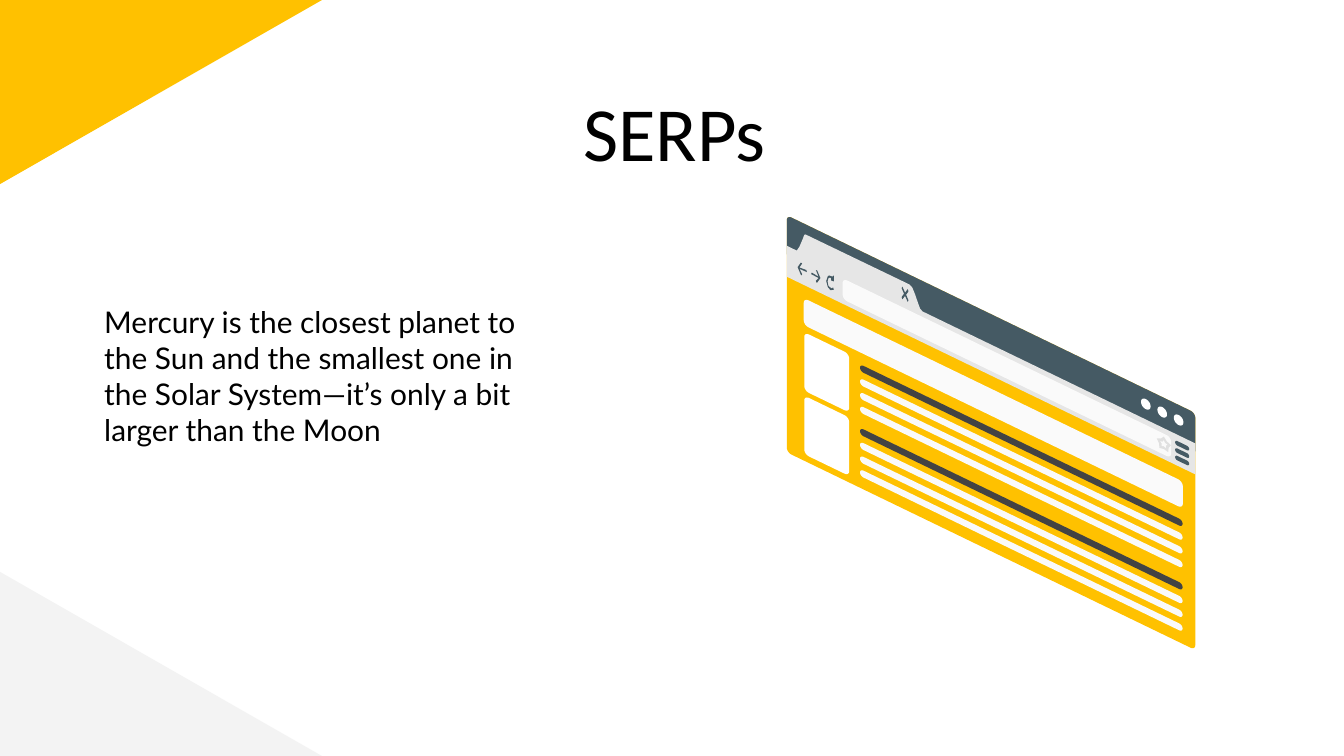
"""Build the SERPs slide with a slanted browser window."""
from math import cos, pi, sin

from pptx import Presentation
from pptx.dml.color import RGBColor
from pptx.enum.shapes import MSO_SHAPE
from pptx.enum.text import MSO_ANCHOR, MSO_AUTO_SIZE, PP_ALIGN
from pptx.util import Cm, Pt

COLORS = {
    "yellow": "FFC100", "pale": "F3F3F3", "black": "000000", "white": "FFFFFF",
    "panel": "FAFAFA", "dark": "434343", "slate": "455A64", "toolbar": "E6E6E6",
    "star": "E0E0E0",
}
PAGE_WIDTH, PAGE_HEIGHT = 50.8, 28.58
CORNER_WIDTH, CORNER_HEIGHT = 12.17, 6.96
TITLE = {
    "lines": ["SERPs"], "place": (3, 2.72, 45, 3.18),
    "font": {"name": "Calibri", "size": Pt(82), "bold": False},
    "align": PP_ALIGN.CENTER,
}
BODY = {
    "lines": [
        "Mercury is the closest planet to",
        "the Sun and the smallest one in the Solar System—it’s only a bit larger than the Moon",
    ],
    "place": (3.43, 10.97, 18.14, 10.74),
    "font": {"name": "Lato", "size": Pt(32), "bold": False},
    "align": PP_ALIGN.LEFT,
}
FRAME = {
    "word_wrap": True, "auto_size": MSO_AUTO_SIZE.NONE, "vertical_anchor": MSO_ANCHOR.TOP,
    "margin_left": Cm(0.51), "margin_right": Cm(0.51),
    "margin_top": Cm(0.51), "margin_bottom": Cm(0.51),
}

WINDOW_LEFT, WINDOW_TOP, SLOPE, RADIUS = 29.74, 8.14, 0.484, 0.18
WINDOW = (0, 0, 15.44, 8.96)
HEADER = (0, 0, 15.44, 1.6)
ADDRESS_BAR = (2.11, 1.36, 12.42, 0.79)
SEARCH_BAR = (0.64, 2.82, 14.33, 1.02)
THUMBNAIL = (0.66, 4.1, 1.7, 2.21)
RESULT_LINE = (2.77, 4.29, 12.19, 0.26)
LINE_COLORS = ["dark", "panel", "panel", "panel"]
LINE_STEP, RESULT_STEP = 0.52, 2.4
DOT, DOT_STEP = (13.39, 0.38, 0.36, 0.38), 0.62
MENU_BAR, MENU_STEP = (14.68, 1.39, 0.53, 0.17), 0.28
STAR_CENTER = (14.25, 1.75)
TAB_AND_TOOLBAR = [
    (0, 1.15), (0.33, 1.15), (0.38, 1.15), (0.48, 0.95), (0.61, 0.58), (0.66, 0.42),
    (0.71, 0.38), (0.76, 0.38), (4.62, 0.37), (4.74, 0.43), (4.83, 0.6), (4.98, 0.96),
    (5.04, 1.09), (5.13, 1.15), (15.44, 1.15), (15.44, 2.32), (0, 2.32),
]
BACK_ARROW = [
    (0.41, 1.76), (0.53, 1.53), (0.58, 1.54), (0.48, 1.74), (0.74, 1.71),
    (0.76, 1.78), (0.48, 1.79), (0.58, 1.94), (0.56, 2), (0.53, 1.99),
]
FORWARD_ARROW = [(1.68 - x, y) for x, y in BACK_ARROW]
RELOAD = [
    (1.6, 1.5), (1.55, 1.55), (1.49, 1.76), (1.55, 1.96), (1.65, 2.03), (1.78, 1.95),
    (1.75, 1.88), (1.68, 1.95), (1.57, 1.9), (1.54, 1.75), (1.57, 1.62), (1.63, 1.56),
    (1.68, 1.57), (1.68, 1.65), (1.78, 1.64), (1.78, 1.41), (1.73, 1.48),
]
CLOSE = [
    (4.34, 0.65), (4.37, 0.58), (4.47, 0.76), (4.57, 0.58), (4.6, 0.65), (4.51, 0.82),
    (4.6, 0.99), (4.57, 1.06), (4.47, 0.88), (4.37, 1.06), (4.34, 0.99), (4.43, 0.82),
]


def paint(shape, color):
    shape.shadow.inherit = False
    shape.fill.solid()
    shape.fill.fore_color.rgb = RGBColor.from_string(COLORS[color])
    shape.line.fill.background()


def apply(target, values):
    for name, value in values.items():
        setattr(target, name, value)


def place_text(box, content):
    box.left, box.top, box.width, box.height = map(Cm, content["place"])
    frame = box.text_frame
    apply(frame, FRAME)
    for index, line in enumerate(content["lines"]):
        para = frame.add_paragraph() if index else frame.paragraphs[0]
        para.alignment = content["align"]
        span = para.add_run()
        span.text = line
        apply(span.font, content["font"])
        span.font.color.rgb = RGBColor.from_string(COLORS["black"])


def draw_slanted(group, points, color):
    corners = [
        (Cm(WINDOW_LEFT + x), Cm(WINDOW_TOP + y + SLOPE * x)) for x, y in points
    ]
    builder = group.shapes.build_freeform(*corners[0], scale=1.0)
    builder.add_line_segments(corners[1:], close=True)
    paint(builder.convert_to_shape(), color)


def draw_panel(group, place, color, right=0, down=0):
    left, top, width, height = place
    radius = min(RADIUS, width / 2, height / 2)
    points = []
    for quarter, (across, below) in enumerate([(1, 1), (0, 1), (0, 0), (1, 0)]):
        center_x = left + right + (width - radius if across else radius)
        center_y = top + down + (height - radius if below else radius)
        for step in range(7):
            angle = (quarter + step / 6) * pi / 2
            points.append((center_x + radius * cos(angle), center_y + radius * sin(angle)))
    draw_slanted(group, points, color)


def star_points(outer, inner):
    center_x, center_y = STAR_CENTER
    radii = [outer, inner] * 5
    return [
        (center_x + radius * sin(index * pi / 5), center_y - radius * cos(index * pi / 5))
        for index, radius in enumerate(radii)
    ]


def draw_window(group):
    draw_panel(group, WINDOW, "yellow")
    draw_panel(group, SEARCH_BAR, "panel")
    for result in range(2):
        down = result * RESULT_STEP
        draw_panel(group, THUMBNAIL, "white", down=down)
        for index, color in enumerate(LINE_COLORS):
            draw_panel(group, RESULT_LINE, color, down=down + index * LINE_STEP)
    draw_panel(group, HEADER, "slate")
    draw_slanted(group, TAB_AND_TOOLBAR, "toolbar")
    draw_panel(group, ADDRESS_BAR, "panel")
    for icon in (BACK_ARROW, FORWARD_ARROW, RELOAD, CLOSE):
        draw_slanted(group, icon, "slate")
    draw_slanted(group, star_points(0.28, 0.19), "star")
    draw_slanted(group, star_points(0.14, 0.08), "panel")
    for index in range(3):
        draw_panel(group, DOT, "white", right=index * DOT_STEP)
        draw_panel(group, MENU_BAR, "slate", down=index * MENU_STEP)


def main():
    deck = Presentation()
    deck.slide_width, deck.slide_height = Cm(PAGE_WIDTH), Cm(PAGE_HEIGHT)
    page = deck.slides.add_slide(deck.slide_layouts[5])
    for top, color, rotation in [(0, "yellow", 180), (PAGE_HEIGHT - CORNER_HEIGHT, "pale", 0)]:
        corner = page.shapes.add_shape(
            MSO_SHAPE.RIGHT_TRIANGLE, 0, Cm(top), Cm(CORNER_WIDTH), Cm(CORNER_HEIGHT)
        )
        paint(corner, color)
        corner.rotation = rotation
        if rotation:
            corner.element.spPr.xfrm.set("flipH", "1")
    place_text(page.shapes.add_textbox(0, 0, 0, 0), BODY)
    place_text(page.shapes.title, TITLE)
    draw_window(page.shapes.add_group_shape())
    deck.save("out.pptx")


if __name__ == "__main__":
    main()
